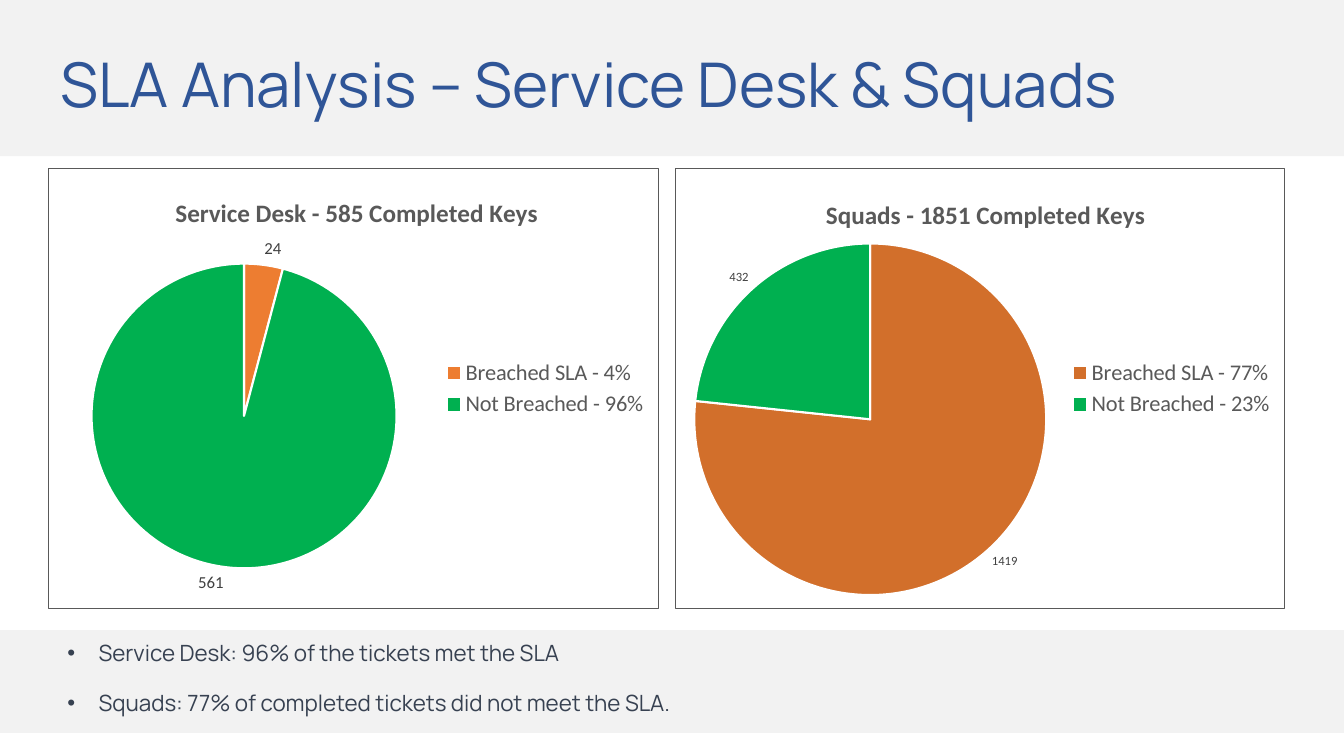
import pptx
import pptx.chart.data
import pptx.dml.color
import pptx.enum.chart
import pptx.enum.shapes
import pptx.oxml
import pptx.oxml.ns
import pptx.util

WIDTH, HEIGHT = 13.33, 7.5
THEME = {
    "band": "F2F2F2", "title": "2F5597", "body": "374151",
    "chart_text": "595959", "label": "404040", "white": "FFFFFF",
    "text_font": "Manrope", "chart_font": "Calibri",
    "title_size": 44, "body_size": 16, "chart_title_size": 18, "legend_size": 16,
}
TITLE = "SLA Analysis – Service Desk & Squads"
BULLETS = [
    "Service Desk: 96% of the tickets met the SLA",
    "Squads: 77% of completed tickets did not meet the SLA.",
]
BANDS = [(0, 1.55), (6.25, 1.02)]
CHARTS = [
    {"title": "Service Desk - 585 Completed Keys", "title_at": (0.2, 0.05),
     "slices": [("Breached SLA - 4%", 24, "ED7D31"), ("Not Breached - 96%", 561, "00B050")],
     "label_size": 12, "pie_at": (0.07, 0.215, 0.5, 0.695)},
    {"title": "Squads - 1851 Completed Keys", "title_at": (0.24, 0.055),
     "slices": [("Breached SLA - 77%", 1419, "D26F2B"), ("Not Breached - 23%", 432, "00B050")],
     "label_size": 9, "pie_at": (0.03, 0.17, 0.58, 0.8)},
]
CHART_LEFT, CHART_TOP, CHART_WIDTH, CHART_HEIGHT, CHART_GAP = 0.48, 1.67, 6.06, 4.37, 0.15

inches = pptx.util.Inches
qn = pptx.oxml.ns.qn


def color(key):
    return pptx.dml.color.RGBColor.from_string(THEME.get(key, key))


def style(font, size, ink, face, bold=False):
    font.size = pptx.util.Pt(size)
    font.color.rgb = color(ink)
    font.name = THEME[face]
    font.bold = bold


def chart_xml(text):
    return pptx.oxml.parse_xml(text.replace(">", " " + pptx.oxml.ns.nsdecls("c", "a") + ">", 1))


def place(parent, index, fractions, inner=False):
    for old in parent.findall(qn("c:layout")):
        parent.remove(old)
    target = '<c:layoutTarget val="inner"/>' if inner else ""
    modes = '<c:xMode val="edge"/><c:yMode val="edge"/>'
    values = "".join(f'<c:{name} val="{value}"/>' for name, value in zip("xywh", fractions))
    parent.insert(index, chart_xml(
        f"<c:layout><c:manualLayout>{target}{modes}{values}</c:manualLayout></c:layout>"))


def add_text(slide, left, top, width, height, lines):
    box = slide.shapes.add_textbox(*map(inches, (left, top, width, height)))
    box.text_frame.word_wrap = True
    box.text_frame.text = "\n".join(lines)
    return box.text_frame.paragraphs


def add_pie(slide, column, content):
    names, values, fills = zip(*content["slices"])
    data = pptx.chart.data.CategoryChartData()
    data.categories = names
    data.add_series("Series 1", values)
    left = CHART_LEFT + column * (CHART_WIDTH + CHART_GAP)
    chart = slide.shapes.add_chart(
        pptx.enum.chart.XL_CHART_TYPE.PIE,
        *map(inches, (left, CHART_TOP, CHART_WIDTH, CHART_HEIGHT)), data).chart
    style(chart.font, 10, "chart_text", "chart_font")

    chart.has_title = True
    heading = chart.chart_title
    heading.include_in_layout = False
    heading.text_frame.text = content["title"]
    style(heading.text_frame.paragraphs[0].runs[0].font,
          THEME["chart_title_size"], "chart_text", "chart_font", True)
    place(heading._element, 1, content["title_at"])

    chart.has_legend = True
    chart.legend.position = pptx.enum.chart.XL_LEGEND_POSITION.RIGHT
    chart.legend.include_in_layout = False
    style(chart.legend.font, THEME["legend_size"], "chart_text", "chart_font")

    plot = chart.plots[0]
    plot.vary_by_categories = True
    plot.has_data_labels = True
    labels = plot.data_labels
    labels.show_value = True
    labels.show_percentage = False
    labels.position = pptx.enum.chart.XL_LABEL_POSITION.OUTSIDE_END
    style(labels.font, content["label_size"], "label", "chart_font")
    for index, fill in enumerate(fills):
        slice_format = plot.series[0].points[index].format
        slice_format.fill.solid()
        slice_format.fill.fore_color.rgb = color(fill)
        slice_format.line.color.rgb = color("white")
        slice_format.line.width = pptx.util.Pt(1.5)

    root = chart._chartSpace
    body = root.find(qn("c:chart"))
    place(body.find(qn("c:plotArea")), 0, content["pie_at"], inner=True)
    body.addnext(chart_xml(
        f'<c:spPr><a:solidFill><a:srgbClr val="{THEME["white"]}"/></a:solidFill>'
        f'<a:ln w="9525"><a:solidFill><a:srgbClr val="{THEME["chart_text"]}"/>'
        "</a:solidFill></a:ln></c:spPr>"))


deck = pptx.Presentation()
deck.slide_width, deck.slide_height = inches(WIDTH), inches(HEIGHT)
slide = deck.slides.add_slide(deck.slide_layouts[6])

for top, height in BANDS:
    band = slide.shapes.add_shape(
        pptx.enum.shapes.MSO_SHAPE.RECTANGLE, 0, inches(top), inches(WIDTH), inches(height))
    band.shadow.inherit = False
    band.fill.solid()
    band.fill.fore_color.rgb = color("band")
    band.line.fill.background()

title = add_text(slide, 0.5, 0.38, WIDTH - 1, 0.85, [TITLE])[0]
title.line_spacing = pptx.util.Pt(55)
style(title.runs[0].font, THEME["title_size"], "title", "text_font")

for para in add_text(slide, 0.57, 6.29, 10.23, 0.91, BULLETS):
    para.space_after = pptx.util.Pt(16.7)
    style(para.runs[0].font, THEME["body_size"], "body", "text_font")
    indent = inches(0.31)
    properties = para._p.get_or_add_pPr()
    properties.set("marL", str(indent))
    properties.set("indent", str(-indent))
    properties.append(chart_xml('<a:buFont typeface="Arial"></a:buFont>'.replace(' typeface="Arial"', "")))
    properties[-1].set("typeface", "Arial")
    properties.append(chart_xml("<a:buChar></a:buChar>"))
    properties[-1].set("char", "•")

for column, content in enumerate(CHARTS):
    add_pie(slide, column, content)

deck.save("out.pptx")
